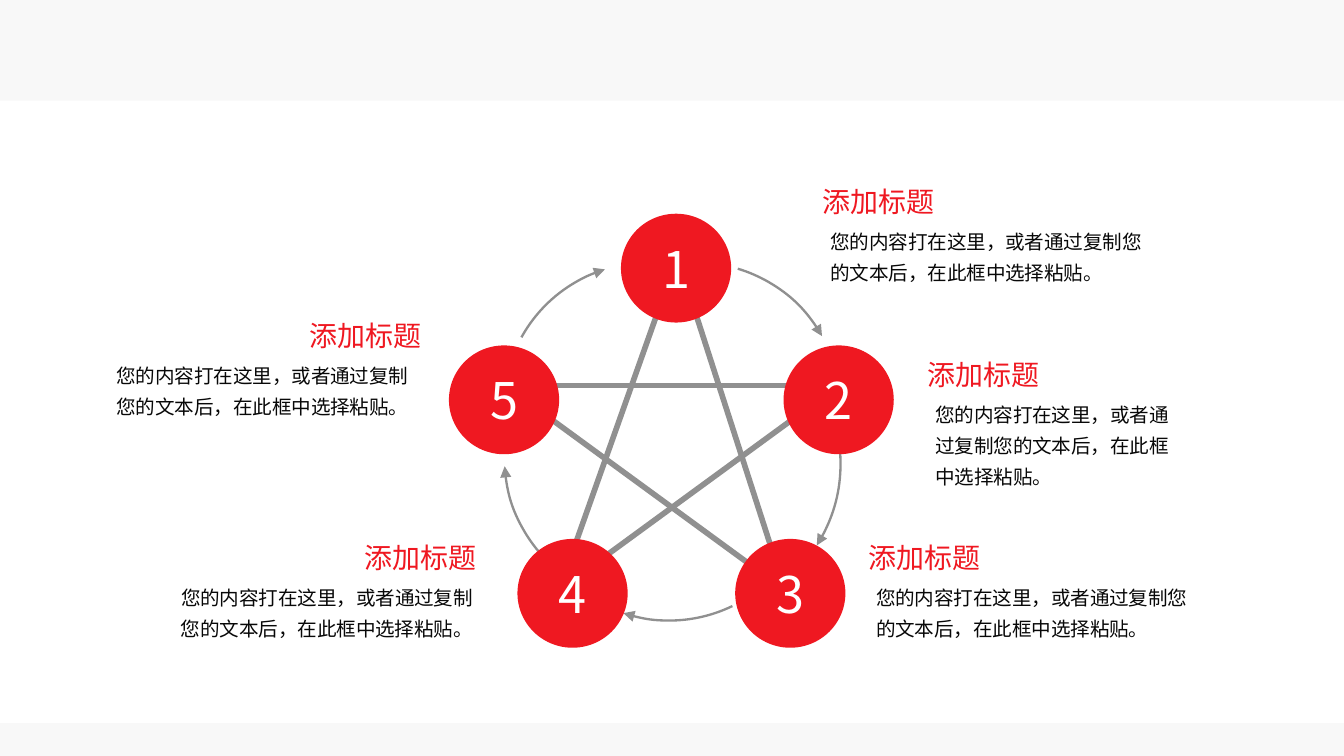
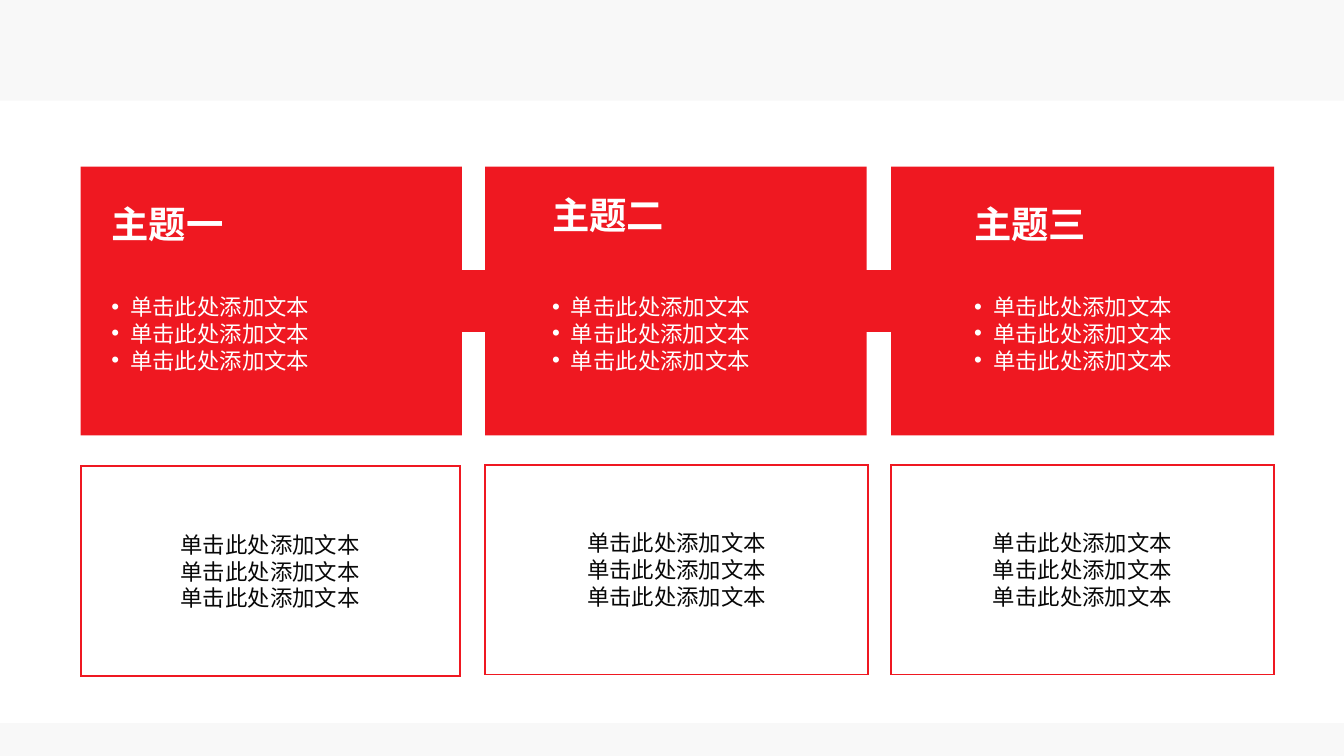
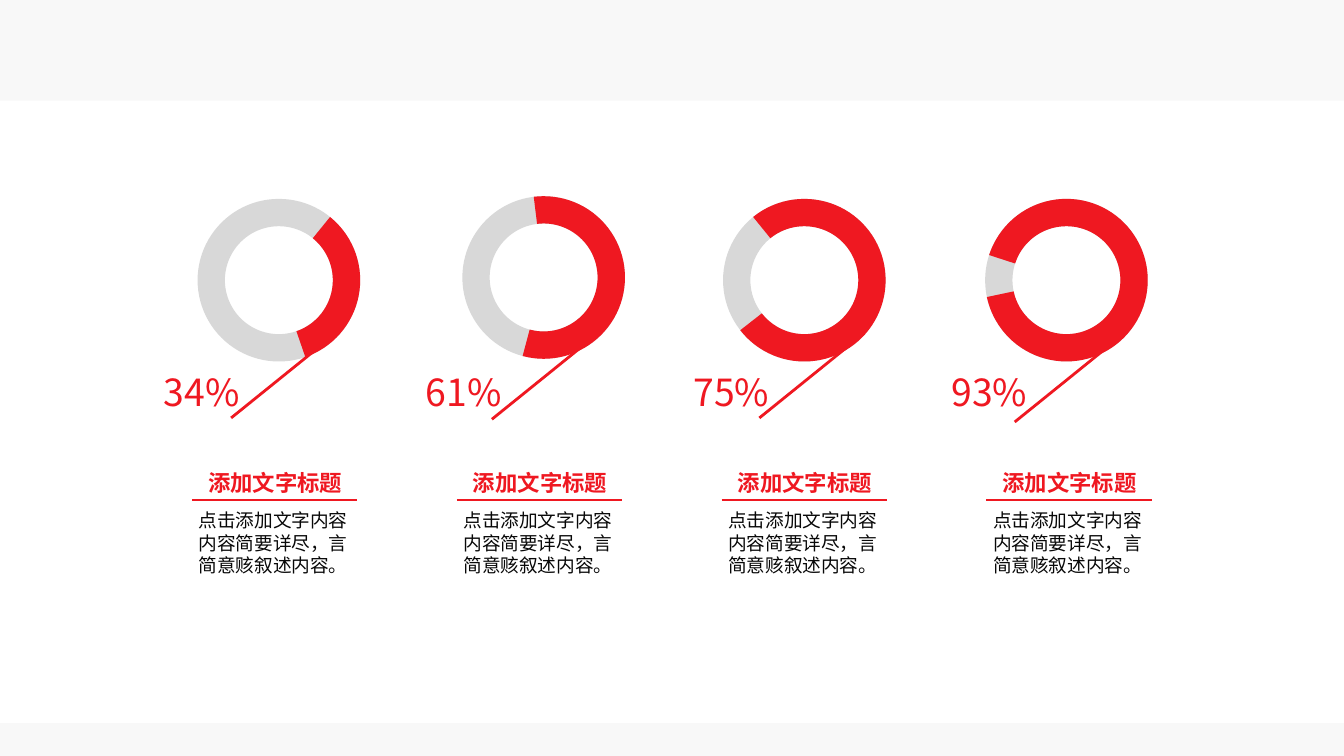
from math import atan2, degrees, hypot

from lxml.etree import SubElement
from pptx import Presentation
from pptx.dml.color import RGBColor
from pptx.enum.shapes import MSO_CONNECTOR, MSO_SHAPE
from pptx.enum.text import MSO_ANCHOR, MSO_AUTO_SIZE, PP_ALIGN
from pptx.oxml.ns import qn
from pptx.util import Inches, Pt

FONT = "Noto Sans CJK SC"
COLORS = {
    "page": "F8F8F8",
    "white": "FFFFFF",
    "red": "EF1821",
    "gray": "909090",
    "ring": "B2B2B2",
    "text": "080808",
}
BLANK_LAYOUT = 6
ANGLE_UNIT = 0.6  # an angle adjustment of 1.0 stands for 100000/60000 degrees


# ---- Shared helpers ----
def color(name):
    return RGBColor.from_string(COLORS[name])


def box(left, top, width, height):
    return [Inches(value) for value in (left, top, width, height)]


def add_shape(slide, kind, bounds, fill=None, line=None, width=1, adjustments=()):
    shape = slide.shapes.add_shape(kind, *box(*bounds))
    shape.shadow.inherit = False
    for index, value in enumerate(adjustments):
        shape.adjustments[index] = value
    if fill:
        shape.fill.solid()
        shape.fill.fore_color.rgb = color(fill)
    else:
        shape.fill.background()
    if line:
        shape.line.color.rgb = color(line)
        shape.line.width = Pt(width)
        SubElement(shape.element.spPr.find(qn("a:ln")), qn("a:miter"), lim="800000")
    else:
        shape.line.fill.background()
    return shape


def add_line(slide, start, end, line, width):
    points = [Inches(value) for value in (*start, *end)]
    connector = slide.shapes.add_connector(MSO_CONNECTOR.STRAIGHT, *points)
    connector.line.color.rgb = color(line)
    connector.line.width = Pt(width)
    SubElement(connector.element.spPr, qn("a:effectLst"))


def add_bullet(properties):
    properties.set("marL", str(Inches(0.14)))
    properties.set("indent", str(Inches(-0.14)))
    bullet_font = SubElement(properties, qn("a:buFont"), typeface="Arial")
    bullet_mark = SubElement(properties, qn("a:buChar"), char="•")
    default_font = properties.find(qn("a:defRPr"))
    default_font.addprevious(bullet_font)
    default_font.addprevious(bullet_mark)


def write(shape, lines, size, ink, bold=False, align=PP_ALIGN.LEFT,
          spacing=None, bullet=False):
    frame = shape.text_frame
    frame.text = "\n".join(lines)
    for paragraph in frame.paragraphs:
        paragraph.alignment = align
        if spacing:
            paragraph.line_spacing = spacing
        font = paragraph.font
        font.name, font.size, font.bold = FONT, Pt(size), bold
        font.color.rgb = color(ink)
        properties = paragraph._p.get_or_add_pPr()
        SubElement(properties.find(qn("a:defRPr")), qn("a:ea"), typeface=FONT)
        if bullet:
            add_bullet(properties)


def add_text(slide, bounds, lines, size, ink, wrap=True, **style):
    text_box = slide.shapes.add_textbox(*box(*bounds))
    text_box.text_frame.word_wrap = wrap
    text_box.text_frame.auto_size = MSO_AUTO_SIZE.SHAPE_TO_FIT_TEXT
    write(text_box, lines, size, ink, **style)


def set_up_master(master, slide):
    """Page colour and white band, shared by all slides."""
    background = master.background.fill
    background.solid()
    background.fore_color.rgb = color("page")
    band = add_shape(slide, MSO_SHAPE.RECTANGLE, (0, 0.75, 10, 4.63), "white")
    master.shapes.element.insert(2, band.element)


# ---- Slide 1: five-step cycle around a star ----
def add_cycle_arrow(slide, center, start, end):
    center_x, center_y = center
    radius = hypot(start[0] - center_x, start[1] - center_y)
    angles = [degrees(atan2(y - center_y, x - center_x)) % 360 for x, y in (start, end)]
    arc = add_shape(
        slide, MSO_SHAPE.ARC,
        (center_x - radius, center_y - radius, 2 * radius, 2 * radius),
        line="gray", width=1.25,
        adjustments=[angle * ANGLE_UNIT for angle in angles],
    )
    SubElement(arc.element.spPr.find(qn("a:ln")), qn("a:tailEnd"), type="triangle")


def add_step_circle(slide, left, top, number):
    circle = add_shape(slide, MSO_SHAPE.OVAL, (left, top, 0.82, 0.81), "red")
    circle.text_frame.word_wrap = False
    circle.text_frame.vertical_anchor = MSO_ANCHOR.MIDDLE
    write(circle, [str(number)], 27, "white", align=PP_ALIGN.CENTER)


def add_step_note(slide, left, top, width, height, heading_left, align):
    add_text(slide, (left, top, width, height),
             ["您的内容打在这里，或者通过复制您的文本后，在此框中选择粘贴。"],
             10.5, "text", align=align, spacing=1.3)
    add_text(slide, (heading_left, top - 0.29, 1.04, 0.35), ["添加标题"],
             15, "red", wrap=False, align=PP_ALIGN.CENTER)


def build_cycle_slide(slide):
    # Arrows between steps: centre, start, end
    arrows = [
        ((5.18, 3.03), (5.49, 2.0), (6.12, 2.5)),
        ((5.12, 3.45), (6.23, 3.22), (6.08, 4.06)),
        ((4.98, 3.54), (5.45, 4.51), (4.64, 4.56)),
        ((4.83, 3.41), (4.1, 4.2), (3.76, 3.47)),
        ((4.82, 3.03), (3.88, 2.51), (4.5, 2.0)),
    ]
    for arrow in arrows:
        add_cycle_arrow(slide, *arrow)

    # Star: each tip joins the next but one
    tips = [(5.04, 1.91), (6.24, 2.87), (5.84, 4.39), (4.16, 4.39), (3.76, 2.87)]
    for index, tip in enumerate(tips):
        add_line(slide, tip, tips[(index + 2) % len(tips)], "gray", 3)

    # Numbered circles
    circles = [(4.62, 1.59), (5.83, 2.57), (5.47, 4.01), (3.85, 4.01), (3.34, 2.57)]
    for number, (left, top) in enumerate(circles, start=1):
        add_step_circle(slide, left, top, number)

    # Notes: left, top, width, height, heading left, alignment
    notes = [
        (6.08, 1.61, 2.52, 0.56, 6.02, PP_ALIGN.LEFT),
        (6.86, 2.9, 2.01, 0.79, 6.8, PP_ALIGN.LEFT),
        (6.42, 4.26, 2.52, 0.56, 6.36, PP_ALIGN.LEFT),
        (1.15, 4.26, 2.47, 0.56, 2.61, PP_ALIGN.RIGHT),
        (0.67, 2.61, 2.47, 0.56, 2.2, PP_ALIGN.RIGHT),
    ]
    for note in notes:
        add_step_note(slide, *note)


# ---- Slide 2: three linked topics ----
def add_topic_card(slide, left, top, title, text_left, title_top, has_arrow):
    if has_arrow:
        add_shape(slide, MSO_SHAPE.RIGHT_ARROW_CALLOUT, (left, top, 3.35, 2), "red",
                  adjustments=(0.23, 0.25, 0.127, 0.847))
    else:
        add_shape(slide, MSO_SHAPE.RECTANGLE, (left, top, 2.85, 2), "red")
    add_text(slide, (left + text_left, top + 0.89, 2.65, 0.71),
             ["单击此处添加文本"] * 3, 12, "white", bullet=True)
    add_text(slide, (left + text_left, top + title_top, 2.65, 0.44),
             [title], 20, "white", bold=True)


def add_detail_box(slide, left, top, width):
    detail = add_shape(slide, MSO_SHAPE.RECTANGLE, (left, top, width, 1.56), line="red")
    detail.text_frame.vertical_anchor = MSO_ANCHOR.MIDDLE
    write(detail, ["单击此处添加文本"] * 3, 12, "text", align=PP_ALIGN.CENTER)


def build_topics_slide(slide):
    # Topics: left, title, text offset, title offset, arrow, detail top, detail width
    topics = [
        (0.6, "主题一", 0.13, 0.21, True, 3.47, 2.82),
        (3.61, "主题二", 0.4, 0.14, True, 3.46, 2.85),
        (6.63, "主题三", 0.52, 0.21, False, 3.46, 2.85),
    ]
    for left, title, text_left, title_top, has_arrow, detail_top, width in topics:
        add_topic_card(slide, left, 1.24, title, text_left, title_top, has_arrow)
        add_detail_box(slide, left, detail_top, width)


# ---- Slide 3: four ring gauges ----
def add_gauge(slide, left, top, start, end):
    bounds = (left, top, 1.21, 1.21)
    thickness = 0.168
    ring = add_shape(slide, MSO_SHAPE.DONUT, bounds, "ring", adjustments=[thickness])
    ring_color = ring.element.spPr.find(qn("a:solidFill"))[0]
    SubElement(ring_color, qn("a:alpha"), val="50000")
    add_shape(slide, MSO_SHAPE.BLOCK_ARC, bounds, "red",
              adjustments=[start * ANGLE_UNIT, end * ANGLE_UNIT, thickness])


def add_pointer_label(slide, left, bottom, label_left, label):
    add_line(slide, (left, bottom), (left + 0.78, bottom - 0.63), "red", 1.5)
    add_text(slide, (label_left, 2.7, 0.78, 0.44), [label], 20, "red", wrap=False)


def add_caption(slide, left, top):
    add_text(slide, (left + 0.02, top, 1.21, 0.3), ["添加文字标题"],
             12, "red", wrap=False, bold=True)
    add_line(slide, (left, top + 0.28), (left + 1.23, top + 0.28), "red", 1.25)
    add_text(slide, (left - 0.05, top + 0.3, 1.32, 0.61),
             ["点击添加文字内容", "内容简要详尽，言", "简意赅叙述内容。"],
             10, "text", wrap=False)


def build_gauges_slide(slide):
    # Gauges: ring (left, top, start and end angle), pointer (left, bottom, label)
    gauges = [
        ((1.47, 1.48, 309, 71), (1.72, 3.11, 1.12, "34%")),
        ((3.44, 1.46, 263, 105), (3.66, 3.12, 3.07, "61%")),
        ((5.38, 1.48, 231, 142), (5.65, 3.11, 5.06, "75%")),
        ((7.33, 1.48, 198, 168), (7.55, 3.14, 6.98, "93%")),
    ]
    for index, (ring, pointer) in enumerate(gauges):
        add_gauge(slide, *ring)
        add_pointer_label(slide, *pointer)
        add_caption(slide, 1.43 + 1.97 * index, 3.44)


def main():
    presentation = Presentation()
    # Widescreen page, 16:9
    presentation.slide_width = Inches(10)
    presentation.slide_height = Inches(10 * 9 / 16)
    layout = presentation.slide_layouts[BLANK_LAYOUT]
    builders = [build_cycle_slide, build_topics_slide, build_gauges_slide]
    slides = [presentation.slides.add_slide(layout) for _ in builders]
    set_up_master(presentation.slide_master, slides[0])
    for build, slide in zip(builders, slides):
        build(slide)
    presentation.save("out.pptx")


if __name__ == "__main__":
    main()
